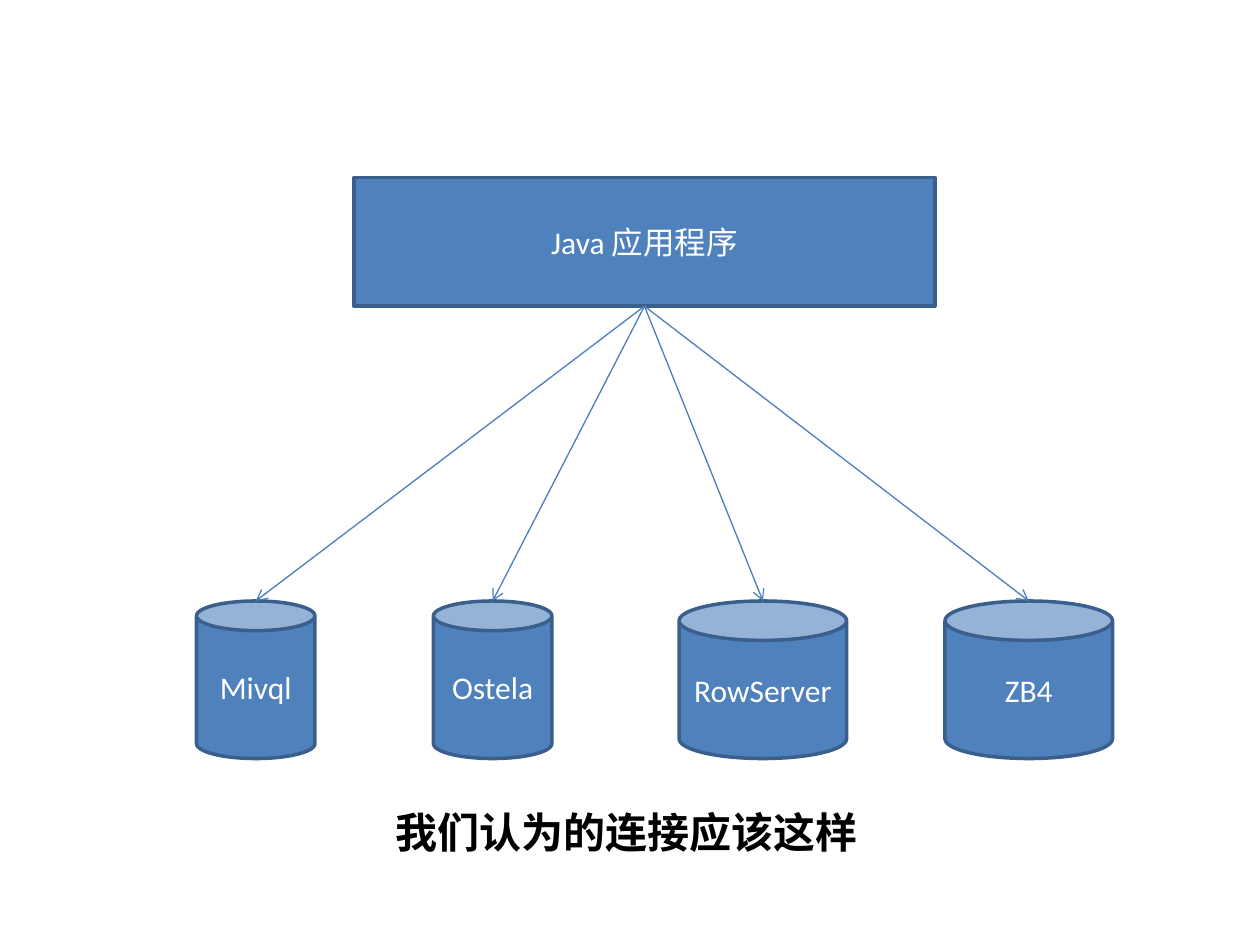
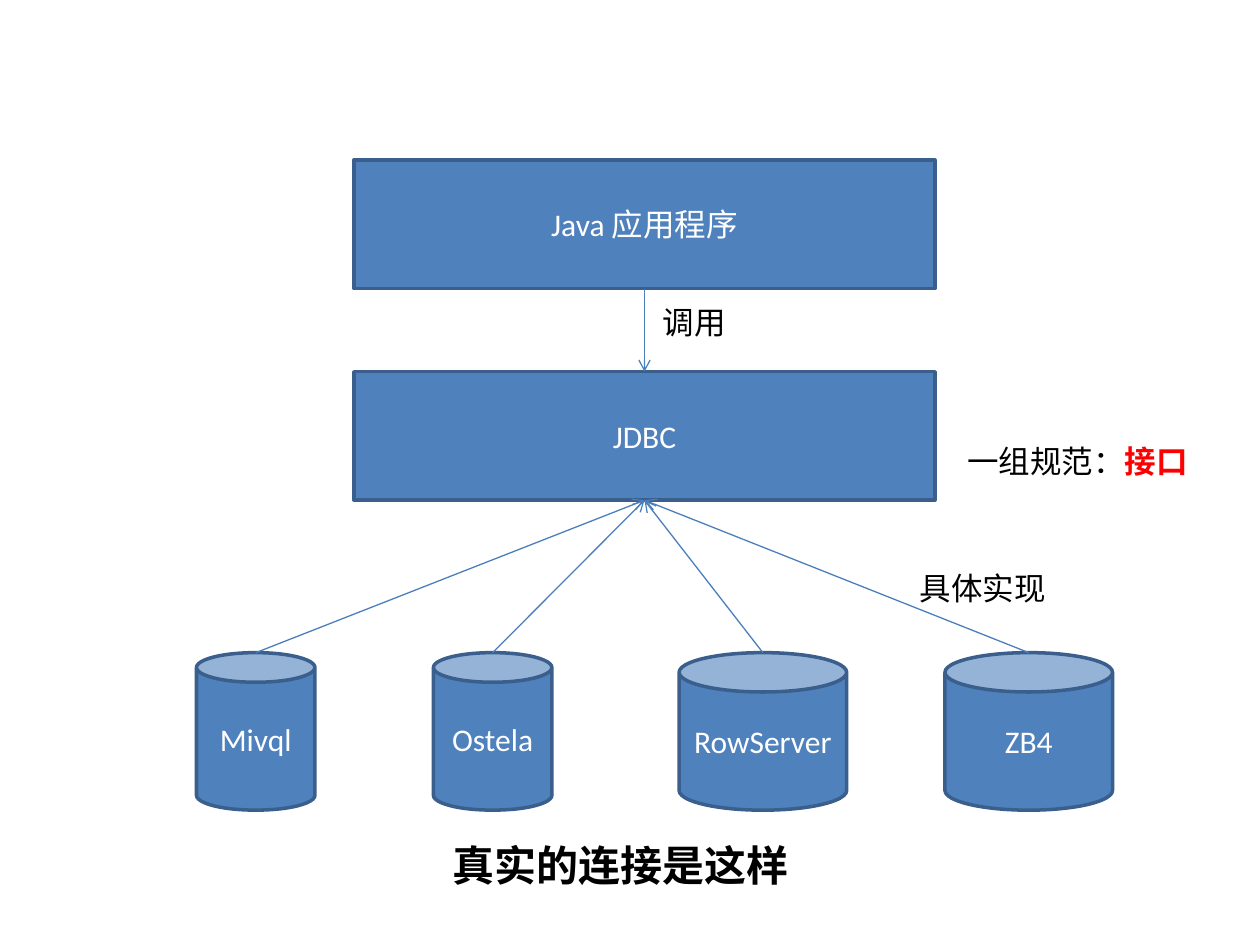
import pptx
import pptx.util
import pptx.dml.color
import pptx.enum.shapes
import pptx.enum.text
import pptx.oxml.ns
import lxml.etree

Inches = pptx.util.Inches
Pt = pptx.util.Pt
RGBColor = pptx.dml.color.RGBColor
SHAPE = pptx.enum.shapes.MSO_SHAPE
qn = pptx.oxml.ns.qn

BLUE = RGBColor(0x4F, 0x81, 0xBD)
OUTLINE = RGBColor(0x3A, 0x5F, 0x8C)
ARROW = RGBColor(0x4B, 0x7E, 0xBC)
WHITE = RGBColor(0xFF, 0xFF, 0xFF)
BLACK = RGBColor(0x00, 0x00, 0x00)
RED = RGBColor(0xFF, 0x00, 0x00)
LATIN_FONT = "Calibri"
CHINESE_FONT = "Noto Sans CJK SC"

# Lengths in inches
LAYER_LEFT, LAYER_WIDTH, LAYER_HEIGHT = 2.81, 4.61, 1.02
LAYER_CENTER = LAYER_LEFT + LAYER_WIDTH / 2
DATABASE_HEIGHT = 1.25
DATABASES = [  # name, left, width
    ("Mivql", 1.56, 0.94),
    ("Ostela", 3.44, 0.94),
    ("RowServer", 5.39, 1.33),
    ("ZB4", 7.5, 1.33),
]

SLIDES = [
    {
        "layers": [("Java 应用程序", 1.41)],
        "database_top": 4.77,
        "arrows_point_up": False,
        "labels": [],
        "caption": ("我们认为的连接应该这样", 3.04, 6.35, 4.16),
    },
    {
        "layers": [("Java 应用程序", 1.27), ("JDBC", 2.95)],
        "database_top": 5.18,
        "arrows_point_up": True,
        "labels": [  # text, highlighted ending, left, top, width
            ("调用", "", 5.16, 2.36, 1.25),
            ("具体实现", "", 7.2, 4.47, 1.25),
            ("一组规范：", "接口", 7.58, 3.46, 2.03),
        ],
        "caption": ("真实的连接是这样", 3.49, 6.61, 3.02),
    },
]


def format_run(run, size, color, bold=False, font=LATIN_FONT):
    """Set size, colour, weight and both typefaces of a run."""
    run.font.size = Pt(size)
    run.font.color.rgb = color
    run.font.bold = bold
    run.font.name = font
    east_asian = lxml.etree.SubElement(run._r.get_or_add_rPr(), qn("a:ea"))
    east_asian.set("typeface", CHINESE_FONT)


def add_arrow(slide, start, end):
    """Draw a thin line with an open arrowhead at its end."""
    connector = slide.shapes.add_connector(
        pptx.enum.shapes.MSO_CONNECTOR.STRAIGHT,
        *[Inches(length) for length in (*start, *end)])
    connector.line.color.rgb = ARROW
    connector.line.width = Pt(0.75)
    line = connector.line._get_or_add_ln()
    lxml.etree.SubElement(line, qn("a:tailEnd")).set("type", "arrow")
    lxml.etree.SubElement(connector._element.spPr, qn("a:effectLst"))


presentation = pptx.Presentation()
presentation.slide_width = Inches(10)
presentation.slide_height = Inches(7.5)

for content in SLIDES:
    slide = presentation.slides.add_slide(presentation.slide_layouts[6])
    layers = content["layers"]
    database_top = content["database_top"]

    # Application layers and databases
    blocks = [(SHAPE.RECTANGLE, name, LAYER_LEFT, top, LAYER_WIDTH, LAYER_HEIGHT)
              for name, top in layers]
    blocks += [(SHAPE.CAN, name, left, database_top, width, DATABASE_HEIGHT)
               for name, left, width in DATABASES]
    for preset, name, *box in blocks:
        shape = slide.shapes.add_shape(preset, *[Inches(length) for length in box])
        shape.shadow.inherit = False
        shape.fill.solid()
        shape.fill.fore_color.rgb = BLUE
        shape.line.color.rgb = OUTLINE
        shape.line.width = Pt(2)
        shape.text_frame.text = name
        shape.text_frame.vertical_anchor = pptx.enum.text.MSO_ANCHOR.MIDDLE
        paragraph = shape.text_frame.paragraphs[0]
        paragraph.alignment = pptx.enum.text.PP_ALIGN.CENTER
        format_run(paragraph.runs[0], 18, WHITE)

    # Calls between layers, then links between the lowest layer and the databases
    for (_, upper_top), (_, lower_top) in zip(layers, layers[1:]):
        add_arrow(slide, (LAYER_CENTER, upper_top + LAYER_HEIGHT),
                  (LAYER_CENTER, lower_top))
    hub = (LAYER_CENTER, layers[-1][1] + LAYER_HEIGHT)
    for _, left, width in DATABASES:
        database = (left + width / 2, database_top)
        if content["arrows_point_up"]:
            add_arrow(slide, database, hub)
        else:
            add_arrow(slide, hub, database)

    # Labels and the caption
    caption, left, top, width = content["caption"]
    texts = [(*label, 0.4, 18, False, LATIN_FONT) for label in content["labels"]]
    texts.append((caption, "", left, top, width, 0.5, 24, True, CHINESE_FONT))
    for text, highlight, left, top, width, height, size, bold, font in texts:
        text_box = slide.shapes.add_textbox(
            Inches(left), Inches(top), Inches(width), Inches(height))
        text_frame = text_box.text_frame
        text_frame.word_wrap = True
        text_frame.auto_size = pptx.enum.text.MSO_AUTO_SIZE.SHAPE_TO_FIT_TEXT
        text_frame.text = text
        paragraph = text_frame.paragraphs[0]
        format_run(paragraph.runs[0], size, BLACK, bold, font)
        if highlight:
            run = paragraph.add_run()
            run.text = highlight
            format_run(run, size, RED, True, font)

presentation.save("out.pptx")
